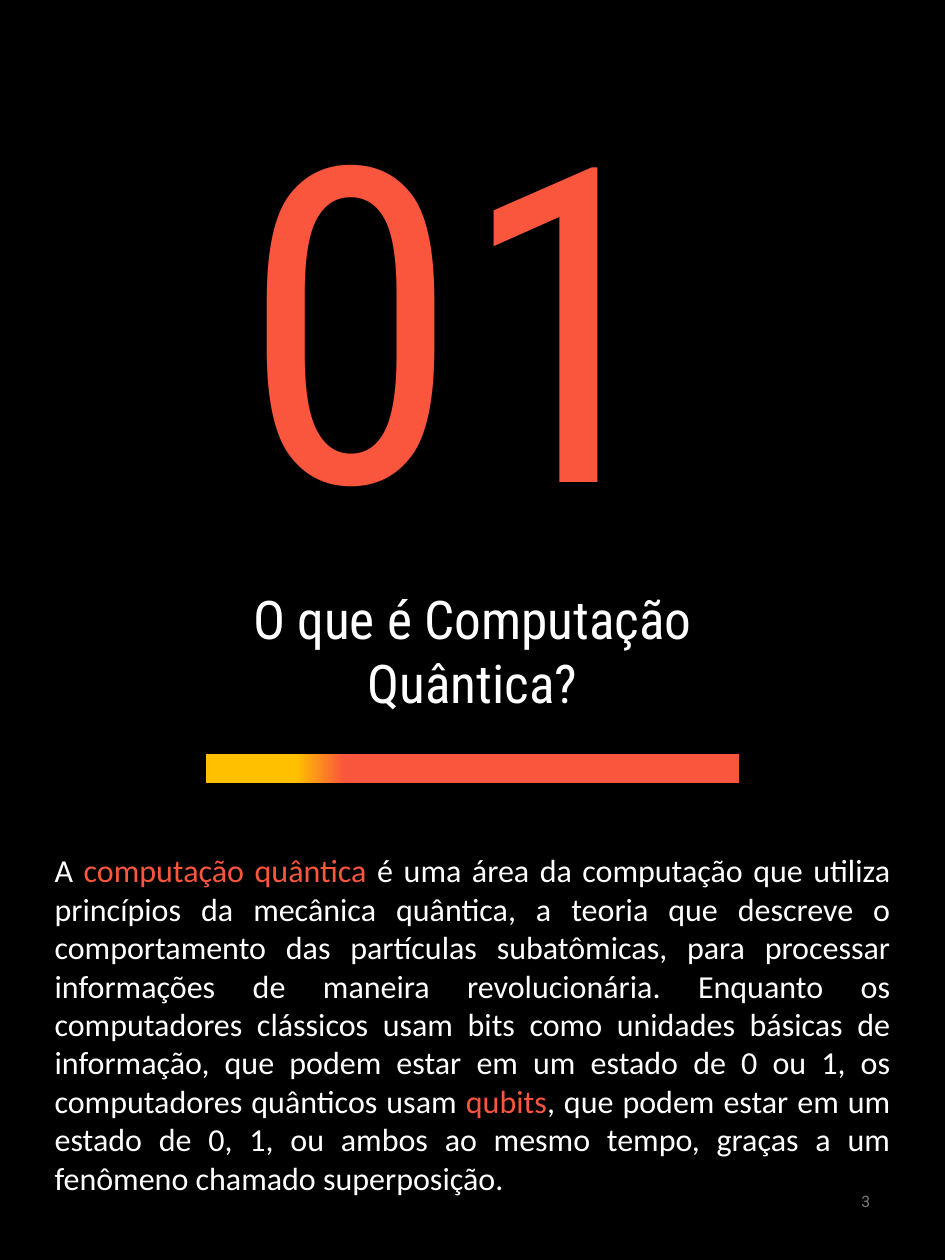
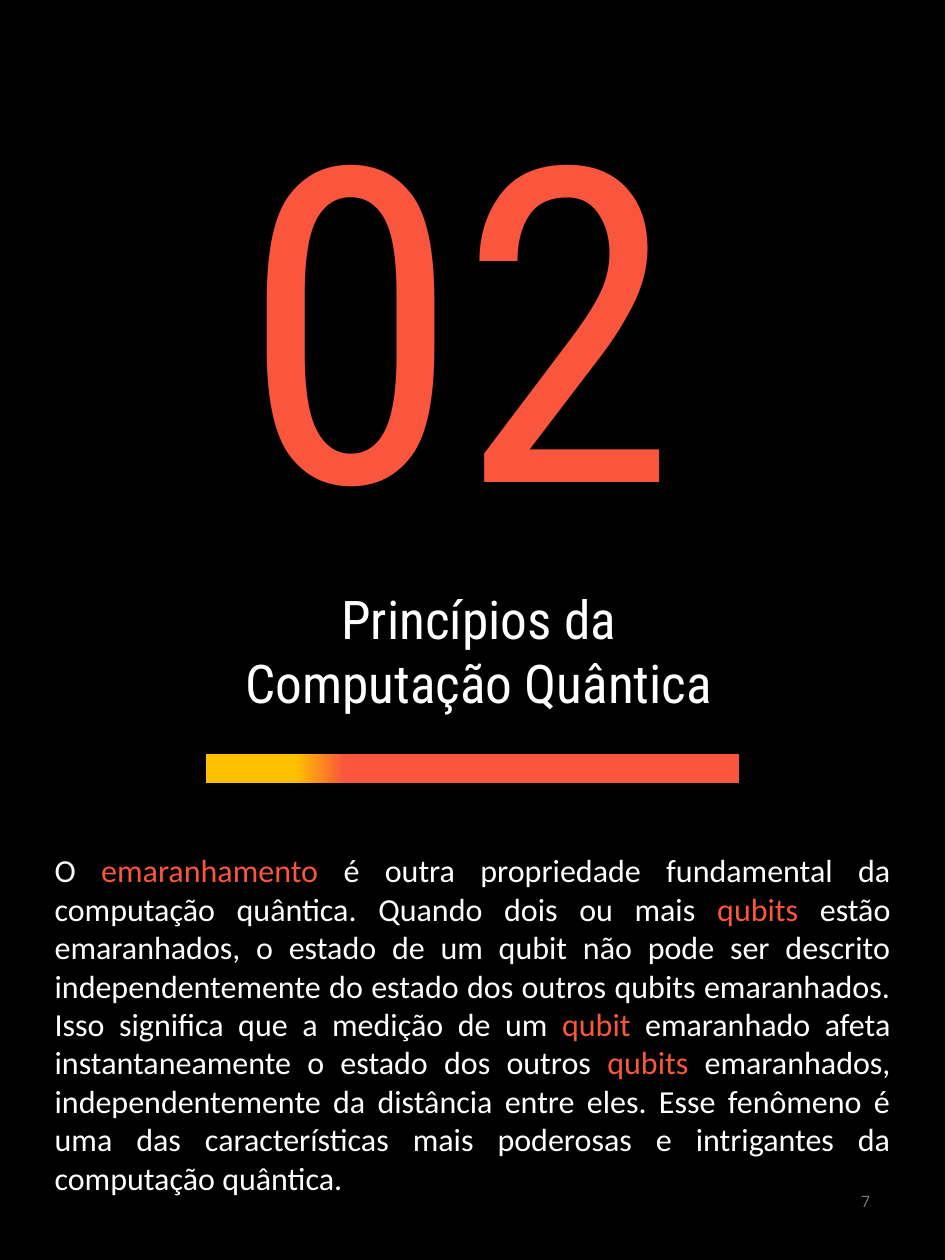
from dataclasses import dataclass

import lxml.etree
import pptx
import pptx.dml.color
import pptx.enum.shapes
import pptx.enum.text
import pptx.oxml.ns
import pptx.util

ALIGN = pptx.enum.text.PP_ALIGN
ANCHOR = pptx.enum.text.MSO_ANCHOR
RECTANGLE = pptx.enum.shapes.MSO_SHAPE.RECTANGLE


@dataclass(frozen=True)
class Theme:
    # Colours
    background: str = "000000"
    text: str = "FFFFFF"
    accent: str = "FA563D"
    highlight: str = "FFC000"
    muted: str = "797979"
    # Fonts
    display: str = "Roboto Condensed"
    reading: str = "Calibri"
    footer: str = "Roboto"
    # Type sizes in points
    number_size: float = 330
    title_size: float = 40
    body_size: float = 24
    footer_size: float = 11.8


def rgb(colour):
    return pptx.dml.color.RGBColor.from_string(colour)


class ChapterDeck:
    """Places elements by percentages of the slide's width and height."""

    def __init__(self, theme):
        self.theme = theme
        self.deck = pptx.Presentation()
        self.deck.slide_width = pptx.util.Inches(9.84)
        self.deck.slide_height = pptx.util.Inches(13.12)
        self.page = None

    def add_page(self):
        self.page = self.deck.slides.add_slide(self.deck.slide_layouts[6])
        fill = self.page.background.fill
        fill.solid()
        fill.fore_color.rgb = rgb(self.theme.background)

    def area(self, left, top, width, height):
        across, down = self.deck.slide_width, self.deck.slide_height
        return [round(share * side / 100) for share, side in
                ((left, across), (top, down), (width, across), (height, down))]

    def rectangle(self, area):
        shape = self.page.shapes.add_shape(RECTANGLE, *self.area(*area))
        shape.shadow.inherit = False
        return shape

    def fill_text(self, box, text, font, size, colour, align, anchor=ANCHOR.TOP, grow=True):
        """Words between asterisks take the accent colour."""
        frame = box.text_frame
        frame.word_wrap = True
        frame.vertical_anchor = anchor
        if grow:
            frame.auto_size = pptx.enum.text.MSO_AUTO_SIZE.SHAPE_TO_FIT_TEXT
        para = frame.paragraphs[0]
        para.alignment = align
        for index, words in enumerate(text.split("*")):
            span = para.add_run()
            span.text = words
            span.font.name = font
            span.font.size = pptx.util.Pt(size)
            span.font.color.rgb = rgb(self.theme.accent if index % 2 else colour)

    def text_box(self, area, *style, **options):
        box = self.page.shapes.add_textbox(*self.area(*area))
        self.fill_text(box, *style, **options)

    def title(self, text, width):
        self.text_box((23.68, 46.11, width, 11.05), text, self.theme.display,
                      self.theme.title_size, self.theme.text, ALIGN.CENTER)

    def number(self, text):
        box = self.rectangle((22.36, 2.97, 52.64, 43.06))
        box.fill.background()
        box.line.color.rgb = rgb(self.theme.background)
        box.line.width = pptx.util.Pt(0.75)
        self.fill_text(box, text, self.theme.display, self.theme.number_size,
                       self.theme.accent, ALIGN.CENTER)

    def divider(self):
        bar = self.rectangle((21.75, 59.83, 56.5, 2.29))
        bar.line.fill.background()
        bar.fill.gradient()
        bar.fill.gradient_angle = 180
        # Four stops, counted from the right-hand end
        qn = pptx.oxml.ns.qn
        stops = next(bar.element.iter(qn("a:gsLst")))
        for stop in list(stops):
            stops.remove(stop)
        accent, highlight = self.theme.accent, self.theme.highlight
        for share, colour in ((0, accent), (74, accent), (83, highlight), (100, highlight)):
            stop = lxml.etree.SubElement(stops, qn("a:gs"), pos=str(share * 1000))
            lxml.etree.SubElement(stop, qn("a:srgbClr"), val=colour)

    def body(self, text):
        self.text_box((4.78, 67.15, 90.45, 28.51), text, self.theme.reading,
                      self.theme.body_size, self.theme.text, ALIGN.JUSTIFY)

    def page_number(self, text):
        self.text_box((70.63, 92.68, 22.46, 5.34), text, self.theme.footer,
                      self.theme.footer_size, self.theme.muted, ALIGN.RIGHT,
                      anchor=ANCHOR.MIDDLE, grow=False)

    def chapter(self, number, title, title_width, body, page_number):
        self.add_page()
        self.title(title, title_width)
        self.number(number)
        self.divider()
        self.body(body)
        self.page_number(page_number)


# Number, title, title width, body text, page number
CHAPTERS = (
    ("01", "O que é Computação Quântica?", 52.64,
     "A *computação quântica* é uma área da computação que utiliza princípios da "
     "mecânica quântica, a teoria que descreve o comportamento das partículas "
     "subatômicas, para processar informações de maneira revolucionária. Enquanto os "
     "computadores clássicos usam bits como unidades básicas de informação, que podem "
     "estar em um estado de 0 ou 1, os computadores quânticos usam *qubits*, que podem "
     "estar em um estado de 0, 1, ou ambos ao mesmo tempo, graças a um fenômeno chamado "
     "superposição.", "3"),
    ("02", "Princípios da Computação Quântica", 53.96,
     "O *emaranhamento* é outra propriedade fundamental da computação quântica. Quando "
     "dois ou mais *qubits* estão emaranhados, o estado de um qubit não pode ser descrito "
     "independentemente do estado dos outros qubits emaranhados. Isso significa que a "
     "medição de um *qubit* emaranhado afeta instantaneamente o estado dos outros *qubits* "
     "emaranhados, independentemente da distância entre eles. Esse fenômeno é uma das "
     "características mais poderosas e intrigantes da computação quântica.", "7"),
)


def main():
    book = ChapterDeck(Theme())
    for chapter in CHAPTERS:
        book.chapter(*chapter)
    book.deck.save("out.pptx")


if __name__ == "__main__":
    main()
